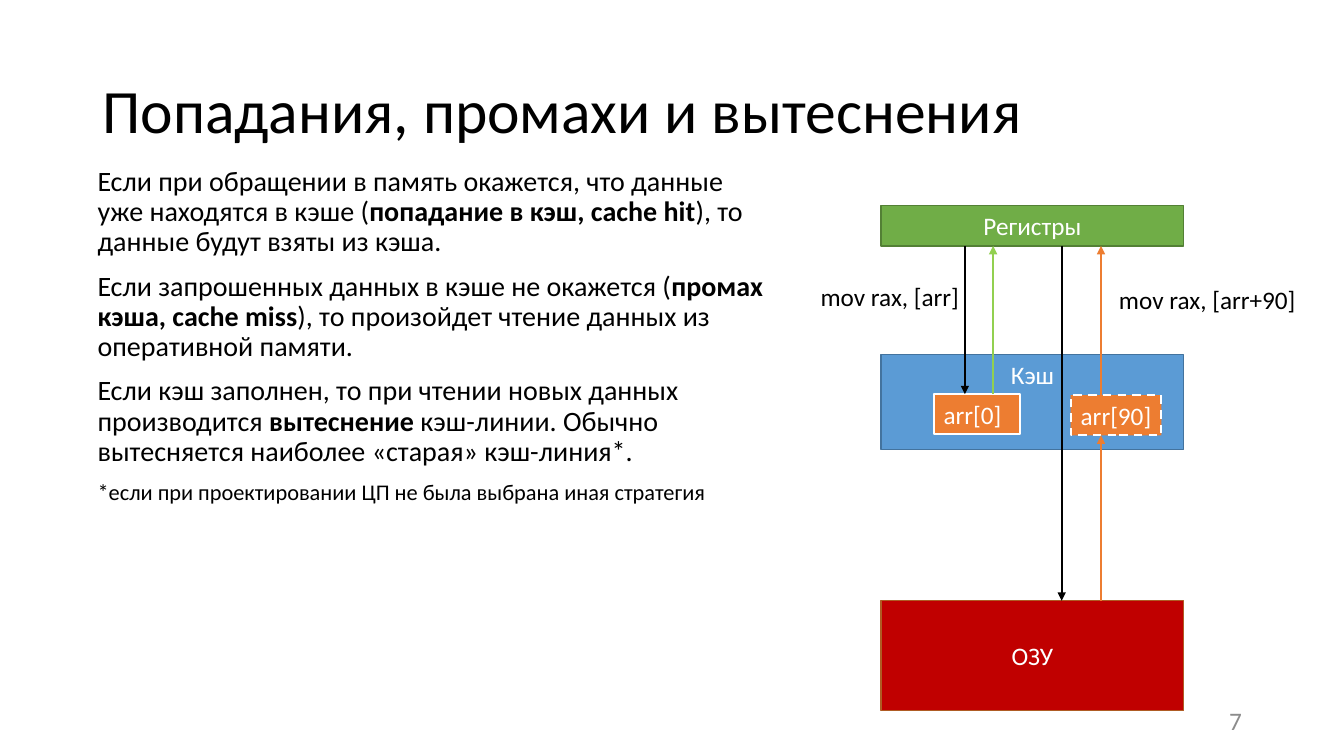
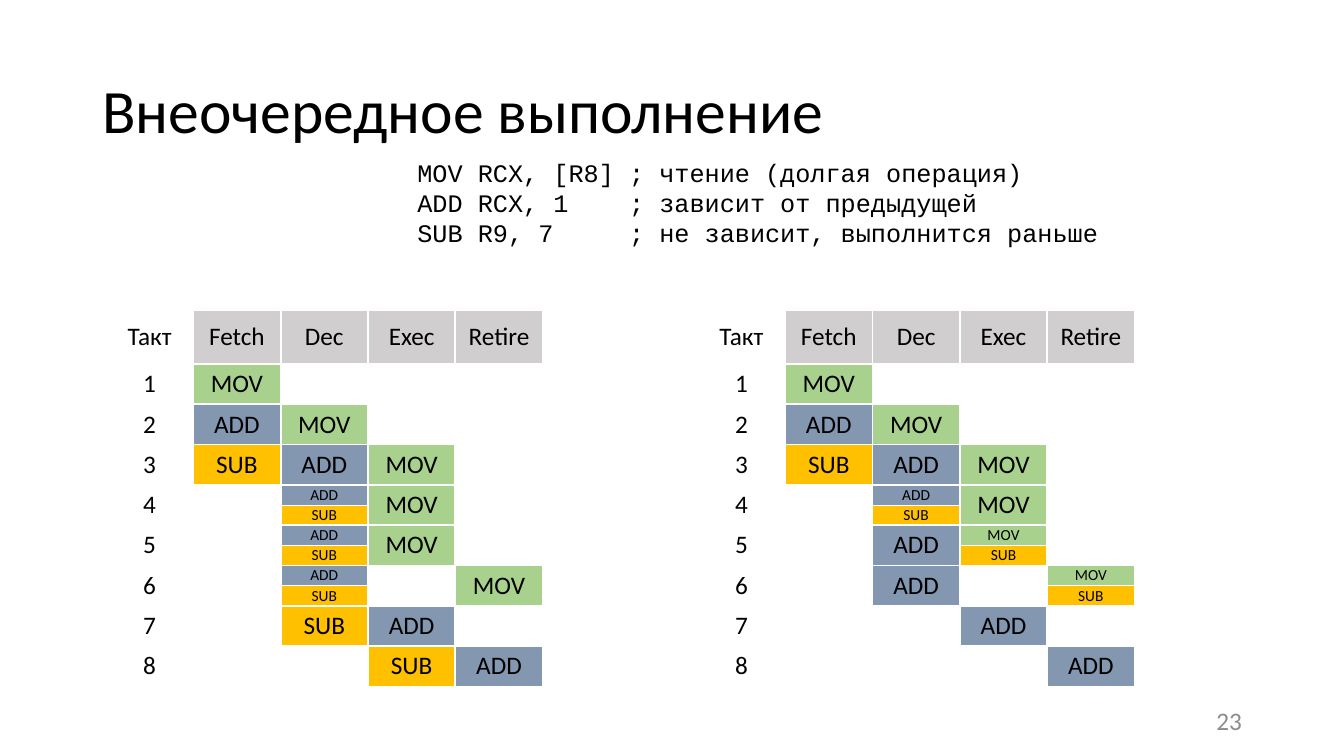
from dataclasses import dataclass

from lxml.etree import SubElement
from pptx import Presentation
from pptx.dml.color import RGBColor
from pptx.enum.dml import MSO_LINE
from pptx.enum.shapes import MSO_CONNECTOR, MSO_SHAPE
from pptx.enum.text import MSO_ANCHOR, PP_ALIGN
from pptx.oxml.ns import qn
from pptx.util import Inches, Pt


@dataclass(frozen=True)
class Theme:
    font: str = "Calibri"
    code_font: str = "Courier New"
    title_size: int = 44
    body_size: int = 20
    note_size: int = 16
    label_size: int = 18
    half_size: int = 11
    ink: str = "000000"
    paper: str = "FFFFFF"
    muted: str = "8C8C8C"
    header: str = "D0CECE"
    registers: str = "70AD47"
    registers_edge: str = "538035"
    cache: str = "5B9BD5"
    cache_edge: str = "43739E"
    ram: str = "C00000"
    ram_edge: str = "AF5C24"
    cache_line: str = "ED7D31"
    hit: str = "92D050"


THEME = Theme()
COMMAND_FILL = {"MOV": "A9D18E", "ADD": "8497B0", "SUB": "FFC000"}

# The slide is a grid of 160 columns by 90 rows with square cells.
SLIDE_WIDTH, SLIDE_HEIGHT = Inches(13.33), Inches(7.5)
UNIT = SLIDE_HEIGHT / 90


def grid(count):
    return round(count * UNIT)


@dataclass(frozen=True)
class Box:
    col: float
    row: float
    cols: float
    rows: float

    def inner(self, col, row, cols=0, rows=0):
        """A box whose corner is counted from the corner of this one."""
        return Box(self.col + col, self.row + row, cols, rows)

    def place(self):
        return [grid(n) for n in (self.col, self.row, self.cols, self.rows)]


TITLE = Box(11, 4.8, 138, 17.4)
NUMBER = Box(113, 83.4, 36, 4.8)
EXPLANATION = Box(10.44, 19.32, 82.08, 66.84)
MEMORY = Box(104.88, 24.48, 36, 60.12)
LISTING = Box(48.48, 18.12, 83.88, 15.72)
IN_ORDER_TABLE = Box(12.6, 36.96, 52, 44.76)
OUT_OF_ORDER_TABLE = Box(83.04, 36.96, 52, 44.76)

EXPLANATION_TEXT = [
    "Если при обращении в память окажется, что данные уже находятся в кэше "
    "(**попадание в кэш, cache hit**), то данные будут взяты из кэша.",
    "Если запрошенных данных в кэше не окажется (**промах кэша, cache miss**), "
    "то произойдет чтение данных из оперативной памяти.",
    "Если кэш заполнен, то при чтении новых данных производится **вытеснение** "
    "кэш-линии. Обычно вытесняется наиболее «старая» кэш-линия*.",
]
EXPLANATION_NOTE = "*если при проектировании ЦП не была выбрана иная стратегия"

CODE = [
    "MOV RCX, [R8]\t; чтение (долгая операция)",
    "ADD RCX, 1\t; зависит от предыдущей",
    "SUB R9, 7\t; не зависит, выполнится раньше",
]
COMMENT_TAB = 2.1

STAGES = ["Такт", "Fetch", "Dec", "Exec", "Retire"]
PIPELINE_START = [
    ["MOV", "", "", ""],
    ["ADD", "MOV", "", ""],
    ["SUB", "ADD", "MOV", ""],
    ["", "ADD/SUB", "MOV", ""],
]
IN_ORDER = PIPELINE_START + [
    ["", "ADD/SUB", "MOV", ""],
    ["", "ADD/SUB", "", "MOV"],
    ["", "SUB", "ADD", ""],
    ["", "", "SUB", "ADD"],
]
OUT_OF_ORDER = PIPELINE_START + [
    ["", "ADD", "MOV/SUB", ""],
    ["", "ADD", "", "MOV/SUB"],
    ["", "", "ADD", ""],
    ["", "", "", "ADD"],
]


def rgb(color):
    return RGBColor.from_string(color)


def write(frame, paragraphs, size=THEME.label_size, color=THEME.ink,
          font=THEME.font, align=PP_ALIGN.LEFT, spacing=None, before=None,
          tab=None):
    """Add paragraphs to a frame; ** switches bold on and off."""
    for text in paragraphs:
        paragraph = frame.paragraphs[-1]
        if paragraph.runs:
            paragraph = frame.add_paragraph()
        paragraph.alignment = align
        if spacing:
            paragraph.line_spacing = spacing
        if before:
            paragraph.space_before = Pt(before)
        if tab:
            stops = SubElement(paragraph._p.get_or_add_pPr(), qn("a:tabLst"))
            SubElement(stops, qn("a:tab"), pos=str(Inches(tab)), algn="l")
        for index, piece in enumerate(text.split("**")):
            run = paragraph.add_run()
            run.text = piece
            run.font.name = font
            run.font.size = Pt(size)
            run.font.bold = index % 2 == 1
            run.font.color.rgb = rgb(color)


def add_text(slide, box, paragraphs, anchor=MSO_ANCHOR.TOP, wrap=True, **style):
    frame = slide.shapes.add_textbox(*box.place()).text_frame
    frame.word_wrap = wrap
    frame.vertical_anchor = anchor
    write(frame, paragraphs, **style)
    return frame


def add_block(slide, box, text, fill, edge, width=1, dash=None,
              anchor=MSO_ANCHOR.MIDDLE, align=PP_ALIGN.CENTER):
    block = slide.shapes.add_shape(MSO_SHAPE.RECTANGLE, *box.place())
    block.shadow.inherit = False
    block.fill.solid()
    block.fill.fore_color.rgb = rgb(fill)
    block.line.color.rgb = rgb(edge)
    block.line.width = Pt(width)
    if dash:
        block.line.dash_style = dash
    block.text_frame.vertical_anchor = anchor
    write(block.text_frame, [text], color=THEME.paper, align=align)


def add_arrow(slide, box, col, start_row, end_row, color):
    start, end = box.inner(col, start_row), box.inner(col, end_row)
    arrow = slide.shapes.add_connector(
        MSO_CONNECTOR.STRAIGHT, *start.place()[:2], *end.place()[:2])
    arrow.line.color.rgb = rgb(color)
    arrow.line.width = Pt(1.5)
    SubElement(arrow.line._get_or_add_ln(), qn("a:tailEnd"), type="triangle")
    SubElement(arrow._element.spPr, qn("a:effectLst"))


def add_slide(deck, title, number):
    slide = deck.slides.add_slide(deck.slide_layouts[6])
    add_text(slide, TITLE, [title], anchor=MSO_ANCHOR.MIDDLE,
             size=THEME.title_size, spacing=0.9)
    add_text(slide, NUMBER, [str(number)], anchor=MSO_ANCHOR.MIDDLE,
             color=THEME.muted, align=PP_ALIGN.RIGHT)
    return slide


def draw_memory(slide, box):
    """Registers, cache and RAM with the reads that pass between them."""
    registers_bottom, line_top, line_bottom, ram_top = 4.8, 22.44, 27.36, 47.04
    add_block(slide, box.inner(0, 17.76, box.cols, 11.28), "Кэш",
              THEME.cache, THEME.cache_edge, anchor=MSO_ANCHOR.TOP)
    add_block(slide, box.inner(0, 0, box.cols, registers_bottom), "Регистры",
              THEME.registers, THEME.registers_edge)
    add_block(slide, box.inner(0, ram_top, box.cols, box.rows - ram_top), "ОЗУ",
              THEME.ram, THEME.ram_edge)
    cache_lines = [("arr[0]", 6.24, line_top, 10.32, None),
                   ("arr[90]", 22.56, line_bottom - 4.8, 10.8, MSO_LINE.DASH)]
    for text, col, row, cols, dash in cache_lines:
        add_block(slide, box.inner(col, row, cols, 4.8), text, THEME.cache_line,
                  THEME.paper, width=1.5, dash=dash, align=PP_ALIGN.LEFT)
    for col, start, end, color in [
        (9.96, registers_bottom, line_top, THEME.ink),
        (13.32, line_top, registers_bottom, THEME.hit),
        (21.48, registers_bottom, ram_top, THEME.ink),
        (26.16, ram_top, line_bottom, THEME.cache_line),
        (26.16, 24.48, registers_bottom, THEME.cache_line),
    ]:
        add_arrow(slide, box, col, start, end, color)
    add_text(slide, box.inner(-8.4, 8.4, 19.08, 4.8), ["mov rax, [arr]"], wrap=False)
    add_text(slide, box.inner(27.12, 8.76, 23.64, 4.8), ["mov rax, [arr+90]"], wrap=False)


def style_cell(cell, fill, top=1.5, bottom=1.5):
    cell.margin_left = cell.margin_right = 0
    cell.margin_top = cell.margin_bottom = 0
    cell.vertical_anchor = MSO_ANCHOR.MIDDLE
    properties = cell._tc.get_or_add_tcPr()
    for side, width in (("L", 1.5), ("R", 1.5), ("T", top), ("B", bottom)):
        edge = SubElement(properties, qn(f"a:ln{side}"), w=str(Pt(width)))
        paint = SubElement(edge, qn("a:solidFill"))
        SubElement(paint, qn("a:srgbClr"), val=THEME.paper)
    cell.fill.solid()
    cell.fill.fore_color.rgb = rgb(fill)


def fill_cell(cell, text, fill, size=THEME.label_size, **edges):
    style_cell(cell, fill, **edges)
    if text:
        write(cell.text_frame, [text], size=size, align=PP_ALIGN.CENTER)


def draw_pipeline(slide, box, schedule):
    """One row for a clock tick, or two half rows if a stage holds two commands."""
    header_rows = 6.36
    tick_rows = (box.rows - header_rows) / len(schedule)
    halves = [2 if any("/" in stage for stage in tick) else 1 for tick in schedule]
    table = slide.shapes.add_table(
        1 + sum(halves), len(STAGES), *box.place()).table
    table.first_row = table.horz_banding = False
    for column in table.columns:
        column.width = grid(box.cols / len(STAGES))
    table.rows[0].height = grid(header_rows)
    for col, stage in enumerate(STAGES):
        fill_cell(table.cell(0, col), stage, THEME.header if col else THEME.paper)

    row = 1
    for tick, (stages, count) in enumerate(zip(schedule, halves), start=1):
        for half in range(count):
            table.rows[row + half].height = grid(tick_rows / count)
        for col, text in enumerate([str(tick)] + stages):
            cell, last = table.cell(row, col), table.cell(row + count - 1, col)
            if "/" in text:
                upper, lower = text.split("/")
                fill_cell(cell, upper, COMMAND_FILL[upper],
                          size=THEME.half_size, bottom=0.5)
                fill_cell(last, lower, COMMAND_FILL[lower],
                          size=THEME.half_size, top=0.5)
                continue
            if count > 1:
                cell.merge(last)
                style_cell(last, THEME.paper)
            fill_cell(cell, text, COMMAND_FILL.get(text, THEME.paper))
        row += count


def add_cache_slide(deck):
    slide = add_slide(deck, "Попадания, промахи и вытеснения", 7)
    spacing = {"spacing": 0.9, "before": 10}
    frame = add_text(slide, EXPLANATION, EXPLANATION_TEXT,
                     size=THEME.body_size, **spacing)
    write(frame, [EXPLANATION_NOTE], size=THEME.note_size, **spacing)
    draw_memory(slide, MEMORY)


def add_pipeline_slide(deck):
    slide = add_slide(deck, "Внеочередное выполнение", 23)
    add_text(slide, LISTING, CODE, font=THEME.code_font, tab=COMMENT_TAB)
    draw_pipeline(slide, IN_ORDER_TABLE, IN_ORDER)
    draw_pipeline(slide, OUT_OF_ORDER_TABLE, OUT_OF_ORDER)


def main():
    deck = Presentation()
    deck.slide_width, deck.slide_height = SLIDE_WIDTH, SLIDE_HEIGHT
    add_cache_slide(deck)
    add_pipeline_slide(deck)
    deck.save("out.pptx")


if __name__ == "__main__":
    main()
